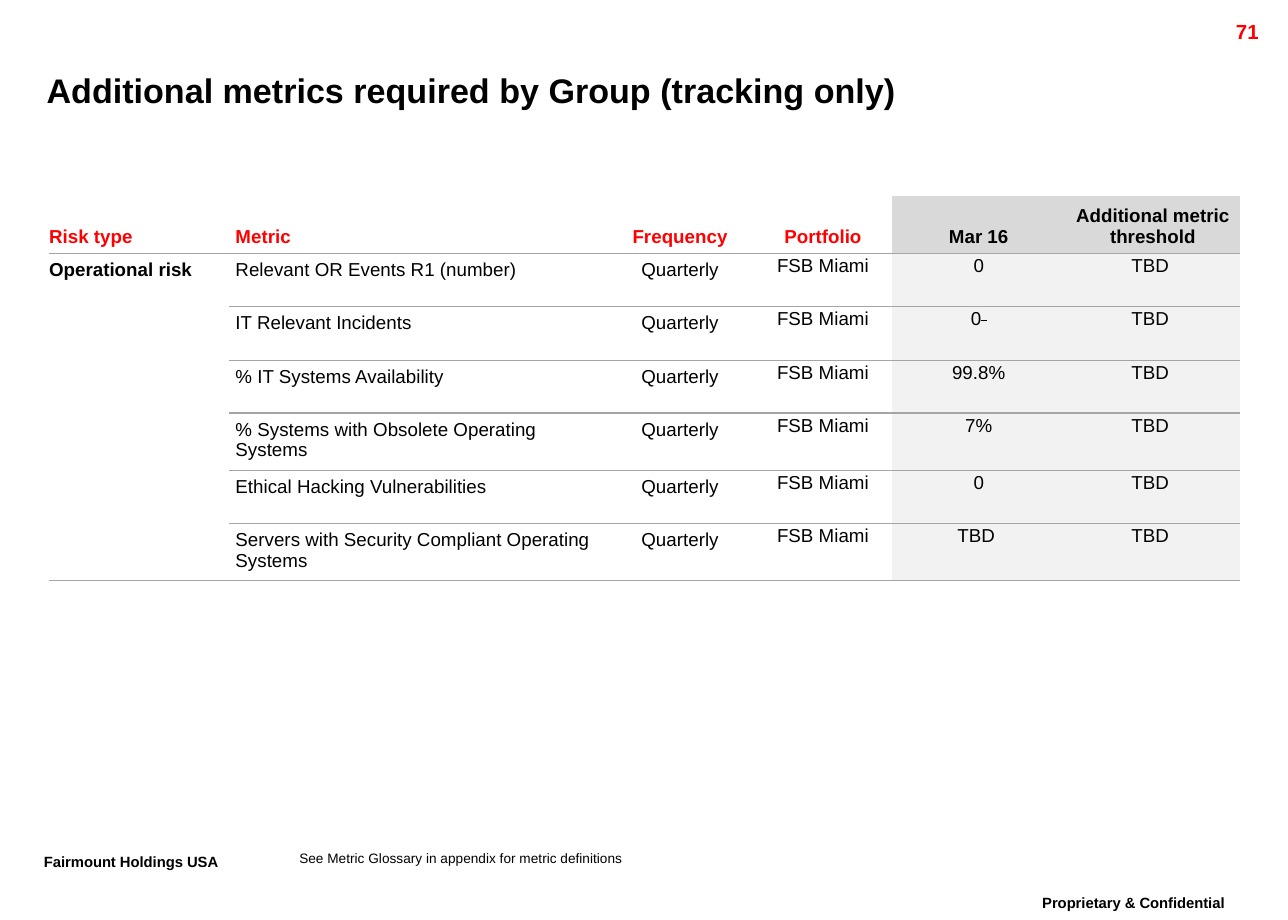
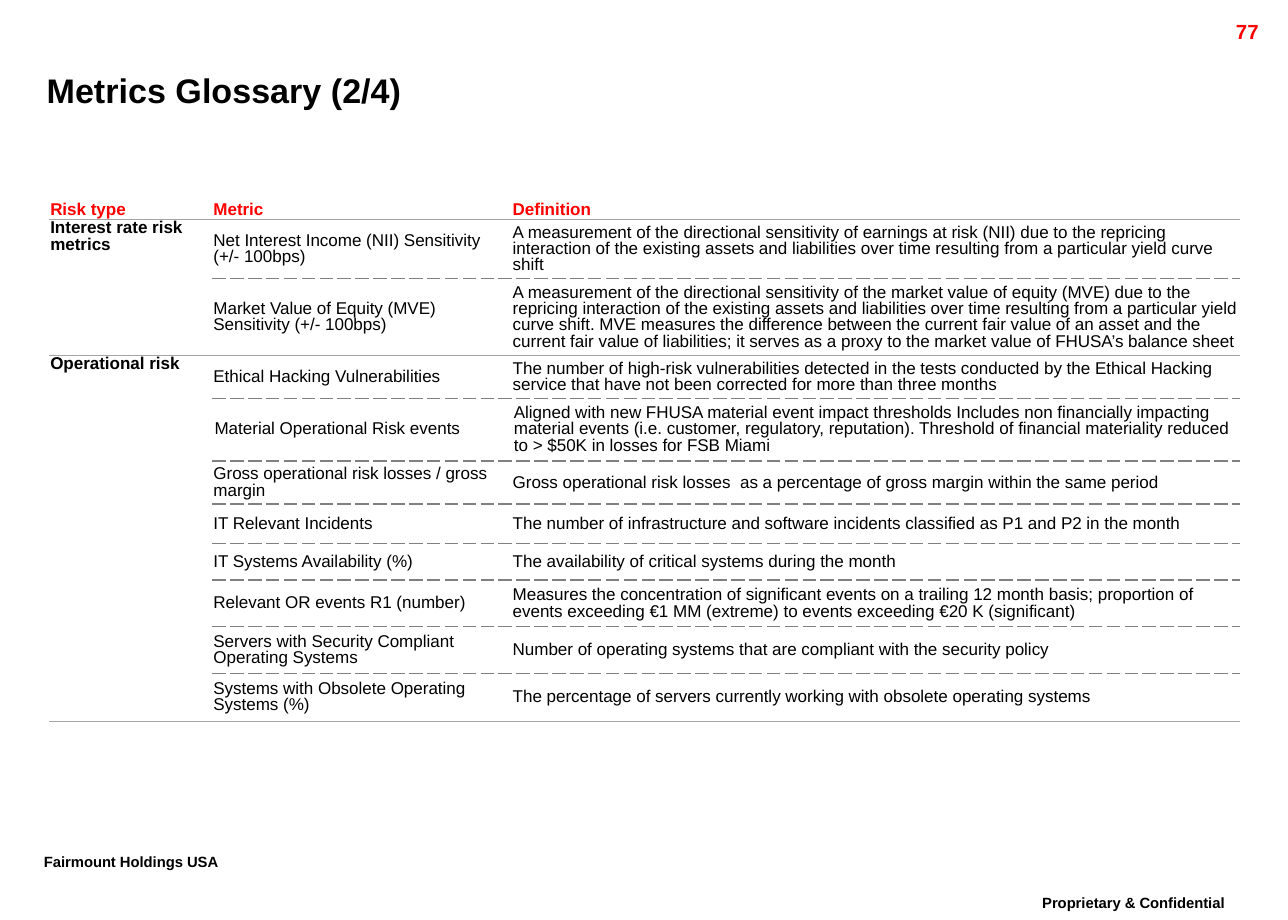
from pptx import Presentation
from pptx.dml.color import RGBColor
from pptx.enum.text import MSO_ANCHOR, PP_ALIGN
from pptx.oxml import parse_xml
from pptx.oxml.ns import nsdecls
from pptx.util import Inches, Pt

BLACK = RGBColor(0, 0, 0)
RED = RGBColor(0xFF, 0, 0)
HEADER_GREY = RGBColor(0xD9, 0xD9, 0xD9)
BODY_GREY = RGBColor(0xF2, 0xF2, 0xF2)
RULE_GREY = RGBColor(0xA5, 0xA5, 0xA5)
DASH_GREY = RGBColor(0x80, 0x80, 0x80)

FONT = "Arial"
TIGHT_SPACING = 0.86
PLAIN_TABLE_STYLE = "{2D5ABB26-0587-4C30-8999-92F81FD0307C}"
SOLID_RULE = (RULE_GREY, 0.75, "solid")
DASHED_RULE = (DASH_GREY, 1, "sysDash")
MARGINS = ("margin_left", "margin_top", "margin_right", "margin_bottom")

TRACKING_HEADERS = ["Risk type", "Metric", "Frequency", "Portfolio", "Mar 16",
                    "Additional metric threshold"]
TRACKED_METRICS = [
    ("Relevant OR Events R1 (number)", "0"),
    ("IT Relevant Incidents", "0"),
    ("% IT Systems Availability", "99.8%"),
    ("% Systems with Obsolete Operating Systems", "7%"),
    ("Ethical Hacking Vulnerabilities", "0"),
    ("Servers with Security Compliant Operating Systems", "TBD "),
]
GLOSSARY = [
    ("Risk type", "Metric", "Definition"),
    ("Interest rate risk metrics", "Net Interest Income (NII) Sensitivity (+/- 100bps)",
     "A measurement of the directional sensitivity of earnings at risk (NII) due to the "
     "repricing interaction of the existing assets and liabilities over time resulting "
     "from a particular yield curve shift"),
    ("", "Market Value of Equity (MVE) Sensitivity (+/- 100bps)",
     "A measurement of the directional sensitivity of the market value of equity (MVE) due "
     "to the repricing interaction of the existing assets and liabilities over time "
     "resulting from a particular yield curve shift. MVE measures the difference between "
     "the current fair value of an asset and the current fair value of liabilities; it "
     "serves as a proxy to the market value of FHUSA’s balance sheet"),
    ("Operational risk", "Ethical Hacking Vulnerabilities",
     "The number of high-risk vulnerabilities detected in the tests conducted by the "
     "Ethical Hacking service that have not been corrected for more than three months"),
    ("", "Material Operational Risk events",
     "Aligned with new FHUSA material event impact thresholds Includes non financially "
     "impacting material events (i.e. customer, regulatory, reputation). Threshold of "
     "financial materiality reduced to > $50K in losses for FSB Miami"),
    ("", "Gross operational risk losses / gross margin",
     "Gross operational risk losses  as a percentage of gross margin within the same period"),
    ("", "IT Relevant Incidents",
     "The number of infrastructure and software incidents classified as P1 and P2 in the month"),
    ("", "IT Systems Availability (%)",
     "The availability of critical systems during the month"),
    ("", "Relevant OR events R1 (number)",
     "Measures the concentration of significant events on a trailing 12 month basis; "
     "proportion of events exceeding €1 MM (extreme) to events exceeding €20 K (significant)"),
    ("", "Servers with Security Compliant Operating Systems",
     "Number of operating systems that are compliant with the security policy"),
    ("", "Systems with Obsolete Operating Systems (%)",
     "The percentage of servers currently working with obsolete operating systems"),
]


def write_span(para, text, size, color=BLACK, bold=False):
    span = para.add_run()
    span.text = text
    for name, value in {"name": FONT, "size": Pt(size), "bold": bold}.items():
        setattr(span.font, name, value)
    span.font.color.rgb = color
    return span


def set_margins(target, margins):
    for name, margin in zip(MARGINS, margins):
        setattr(target, name, Inches(margin))


def add_text(page, place, text, size, color=BLACK, bold=False, frame_format=None,
             para_format=None, margins=(0.1, 0.05, 0.1, 0.05)):
    box = page.shapes.add_textbox(*map(Inches, place))
    frame = box.text_frame
    set_margins(frame, margins)
    for name, value in {"word_wrap": True, **(frame_format or {})}.items():
        setattr(frame, name, value)
    para = frame.paragraphs[0]
    for name, value in (para_format or {}).items():
        setattr(para, name, value)
    return write_span(para, text, size, color, bold)


def add_page(deck, title, number):
    page = deck.slides.add_slide(deck.slide_layouts[6])
    footers = [((8.15, 7.25, 2.18, 0.32), "Proprietary & Confidential", PP_ALIGN.CENTER),
               ((0.26, 6.91, 1.91, 0.32), "Fairmount Holdings USA", PP_ALIGN.LEFT)]
    for place, text, alignment in footers:
        span = add_text(page, place, text, 15, bold=True,
                        para_format={"alignment": alignment, "line_spacing": TIGHT_SPACING})
        span.font._element.set("baseline", "30000")
    add_text(page, (9.36, 0.11, 1, 0.24), number, 12, RED, True,
             para_format={"alignment": PP_ALIGN.RIGHT})
    add_text(page, (0.38, 0.49, 9.48, 0.48), title, 20, bold=True, margins=(0, 0, 0, 0),
             frame_format={"vertical_anchor": MSO_ANCHOR.MIDDLE})
    return page


def add_plain_table(page, left, top, widths, heights):
    frame = page.shapes.add_table(len(heights), len(widths), Inches(left), Inches(top),
                                  Inches(sum(widths)), Inches(sum(heights)))
    table = frame.table
    table.first_row = table.horz_banding = False
    table._tbl.tblPr[0].text = PLAIN_TABLE_STYLE
    for column, width in zip(table.columns, widths):
        column.width = Inches(width)
    for row, height in zip(table.rows, heights):
        row.height = Inches(height)
    return table


def fill_cell(cell, text, size, margins, anchor, color=BLACK, bold=False, fill=None,
              alignment=PP_ALIGN.LEFT, line_spacing=None):
    set_margins(cell, margins)
    cell.vertical_anchor = anchor
    if fill is None:
        cell.fill.background()
    else:
        cell.fill.solid()
        cell.fill.fore_color.rgb = fill
    para = cell.text_frame.paragraphs[0]
    for name, value in {"alignment": alignment, "line_spacing": line_spacing}.items():
        setattr(para, name, value)
    if text:
        write_span(para, text, size, color, bold)


def set_rule(cell, edge, rule):
    color, width, dash = rule
    line = parse_xml(
        f'<a:{edge} {nsdecls("a")} w="{Pt(width)}"><a:solidFill><a:srgbClr val="{color}"/>'
        f'</a:solidFill><a:prstDash val="{dash}"/></a:{edge}>')
    cell._tc.get_or_add_tcPr().insert(0, line)


def draw_rules(table, groups, inner_rule):
    group_ends = {0} | {last for first, last in groups}
    for row in range(len(table.rows)):
        for column in range(len(table.columns)):
            cell = table.cell(row, column)
            if column == 0 and row not in group_ends:
                continue
            set_rule(cell, "lnB", SOLID_RULE if row in group_ends else inner_rule)
            if row and column:
                set_rule(cell, "lnT", SOLID_RULE if row - 1 in group_ends else inner_rule)
    for first, last in groups:
        heading = table.cell(first, 0)
        set_rule(heading, "lnB", SOLID_RULE)
        set_rule(heading, "lnT", SOLID_RULE)
        heading.merge(table.cell(last, 0))


def build_tracking_page(deck):
    page = add_page(deck, "Additional metrics required by Group (tracking only)", "71")
    table = add_plain_table(page, 0.4, 1.6, [1.47, 3.07, 1.21, 1.12, 1.42, 1.42],
                            [0.46, 0.43, 0.44, 0.43, 0.46, 0.43, 0.46])
    rows = [TRACKING_HEADERS]
    for index, (metric, value) in enumerate(TRACKED_METRICS):
        risk = "" if index else "Operational risk"
        rows.append([risk, metric, "Quarterly", "FSB Miami", value, "TBD "])
    for row, texts in enumerate(rows):
        header = row == 0
        for column, text in enumerate(texts):
            shaded = column >= 4
            fill = HEADER_GREY if header else BODY_GREY
            fill_cell(table.cell(row, column), text, 11,
                      (0.05 if column else 0, 0.05, 0.05, 0.05),
                      MSO_ANCHOR.BOTTOM if header else MSO_ANCHOR.TOP,
                      color=RED if header and not shaded else BLACK,
                      bold=header or column == 0,
                      fill=fill if shaded else None,
                      alignment=PP_ALIGN.CENTER if column >= 2 else PP_ALIGN.LEFT,
                      line_spacing=Pt(10) if column >= 3 and not header else None)
    struck = write_span(table.cell(2, 4).text_frame.paragraphs[0], " ", 11)
    struck.font._element.set("strike", "sngStrike")
    draw_rules(table, [(1, 6)], SOLID_RULE)
    add_text(page, (2.44, 6.93, 5.47, 0.13),
             "See Metric Glossary in appendix for metric definitions", 8, margins=(0, 0, 0, 0))


def build_glossary_page(deck):
    page = add_page(deck, "Metrics Glossary (2/4)", "77")
    table = add_plain_table(page, 0.4, 1.63, [1.33, 2.44, 5.94],
                            [0.16, 0.48, 0.63, 0.35, 0.51, 0.35, 0.32, 0.3, 0.38, 0.38, 0.39])
    for row, texts in enumerate(GLOSSARY):
        header = row == 0
        for column, text in enumerate(texts):
            roomy = row == 4 and column
            fill_cell(table.cell(row, column), text, 10,
                      (0.02,) * 4 if roomy else (0.01, 0.01, 0.01, 0),
                      MSO_ANCHOR.MIDDLE if header or column else MSO_ANCHOR.TOP,
                      color=RED if header else BLACK, bold=header or column == 0,
                      line_spacing=TIGHT_SPACING)
    draw_rules(table, [(1, 2), (3, 10)], DASHED_RULE)


def main():
    deck = Presentation()
    deck.slide_width = Inches(10.5)
    deck.slide_height = Inches(7.5)
    build_tracking_page(deck)
    build_glossary_page(deck)
    deck.save("out.pptx")


if __name__ == "__main__":
    main()
